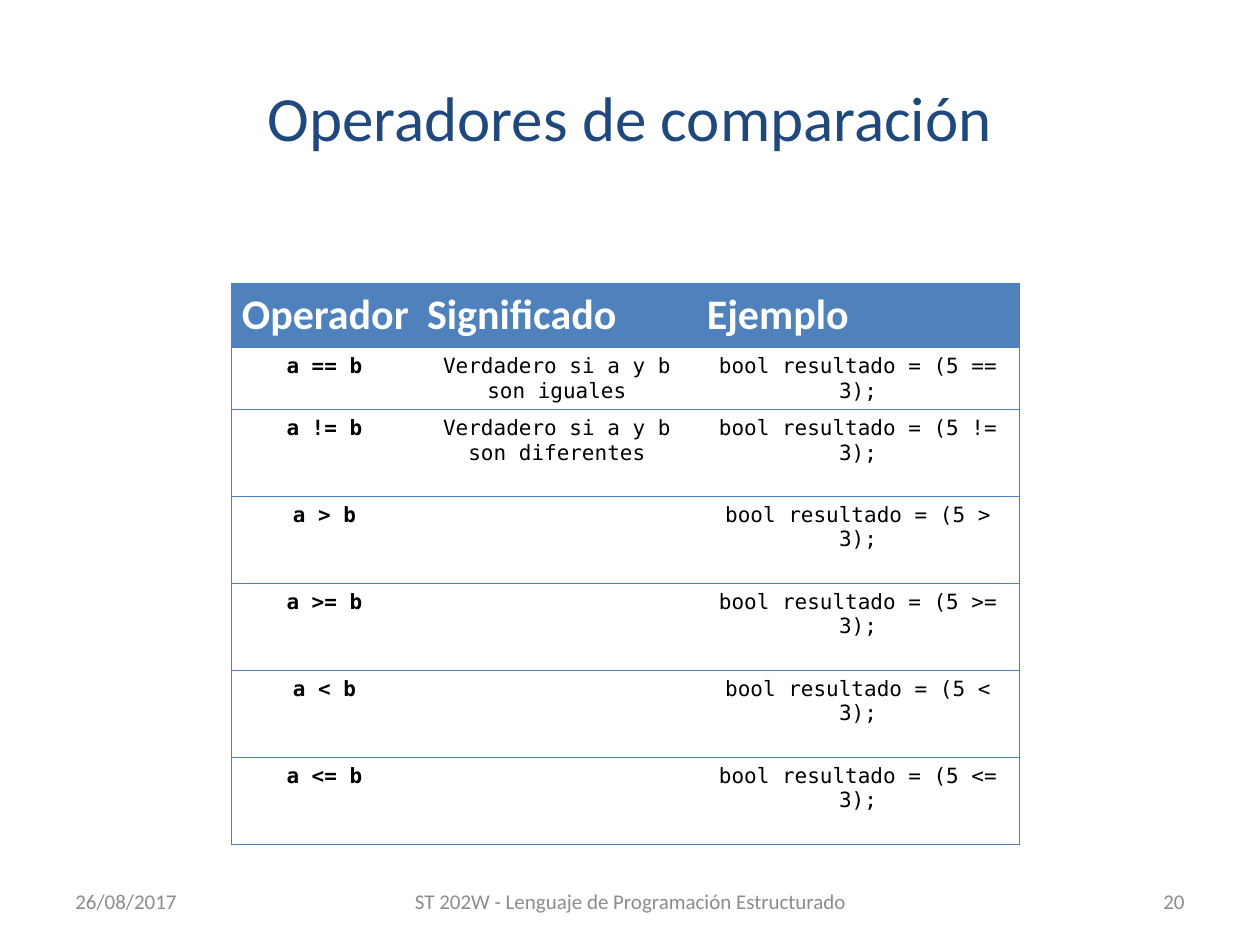
from pptx import Presentation
from pptx.dml.color import RGBColor
from pptx.enum.text import MSO_ANCHOR, PP_ALIGN
from pptx.oxml.ns import qn
from pptx.util import Inches, Pt
from lxml.etree import SubElement

COLORS = {
    "title": "1F497D",
    "header": "4F81BD",
    "border": "4B7EBC",
    "white": "FFFFFF",
    "text": "000000",
    "footer": "8C8C8C",
}
SANS, MONO = "Calibri", "DejaVu Sans Mono"
HEADINGS = ["Operador", "Significado", "Ejemplo"]
MEANINGS = {
    "==": "Verdadero si a y b son iguales",
    "!=": "Verdadero si a y b son diferentes",
}
OPERATORS = ["==", "!=", ">", ">=", "<", "<="]


def write(tf, text, size=12, font=SANS, color="text", bold=False, align=PP_ALIGN.LEFT):
    p = tf.paragraphs[0]
    p.alignment = align
    r = p.add_run()
    r.text = text
    r.font.size = Pt(size)
    r.font.name = font
    r.font.bold = bold
    r.font.color.rgb = RGBColor.from_string(COLORS[color])


class Deck:
    def __init__(self):
        self.prs = Presentation()
        self.prs.slide_width = Inches(10)
        self.prs.slide_height = Inches(7.5)
        self.s = self.prs.slides.add_slide(self.prs.slide_layouts[5])

    def title(self, text, x, y, w, h):
        sp = self.s.shapes.title
        sp.left, sp.top, sp.width, sp.height = map(Inches, (x, y, w, h))
        sp.text_frame.vertical_anchor = MSO_ANCHOR.MIDDLE
        write(sp.text_frame, text, size=36, color="title", align=PP_ALIGN.CENTER)

    def footer(self, text, x, w, align):
        sp = self.s.shapes.add_textbox(Inches(x), Inches(6.95), Inches(w), Inches(0.4))
        tf = sp.text_frame
        tf.word_wrap = True
        tf.vertical_anchor = MSO_ANCHOR.MIDDLE
        write(tf, text, color="footer", align=align)

    def borders(self, cell, visible):
        tc_pr = cell._tc.get_or_add_tcPr()
        for side in "LRTB":
            ln = SubElement(tc_pr, qn(f"a:ln{side}"), w=str(Pt(0.75)))
            if side in visible:
                fill = SubElement(ln, qn("a:solidFill"))
                SubElement(fill, qn("a:srgbClr"), val=COLORS["border"])
            else:
                SubElement(ln, qn("a:noFill"))

    def table(self, rows, x, y, widths, heights):
        frame = self.s.shapes.add_table(
            len(rows), len(widths), Inches(x), Inches(y),
            Inches(sum(widths)), Inches(sum(heights)))
        table = frame.table
        table.horz_banding = False
        for column, width in zip(table.columns, widths):
            column.width = Inches(width)
        for row, height in zip(table.rows, heights):
            row.height = Inches(height)
        for i, texts in enumerate(rows):
            for j, text in enumerate(texts):
                cell = table.cell(i, j)
                cell.margin_left = Inches(0.08)
                cell.margin_right = Inches(0.04 if i == 0 else 0.08)
                cell.margin_top = cell.margin_bottom = Inches(0.05)
                self.borders(cell, "TB" + {0: "L", len(widths) - 1: "R"}.get(j, ""))
                cell.fill.solid()
                fill = "header" if i == 0 else "white"
                cell.fill.fore_color.rgb = RGBColor.from_string(COLORS[fill])
                if i == 0:
                    write(cell.text_frame, text, size=24, color="white", bold=True)
                elif text:
                    write(cell.text_frame, text, font=MONO, bold=j == 0,
                          align=PP_ALIGN.CENTER)


def main():
    deck = Deck()
    deck.title("Operadores de comparación", 0.5, 0.3, 9, 1.25)
    rows = [HEADINGS] + [
        [f"a {op} b", MEANINGS.get(op, ""), f"bool resultado = (5 {op} 3);"]
        for op in OPERATORS
    ]
    deck.table(rows, 1.84, 2.25, [1.47, 2.22, 2.56], [0.51, 0.49] + [0.69] * 5)
    deck.footer("26/08/2017", 0.5, 2.33, PP_ALIGN.LEFT)
    deck.footer("ST 202W - Lenguaje de Programación Estructurado", 3.17, 3.67,
                PP_ALIGN.CENTER)
    deck.footer("20", 7.17, 2.33, PP_ALIGN.RIGHT)
    deck.prs.save("out.pptx")


if __name__ == "__main__":
    main()
